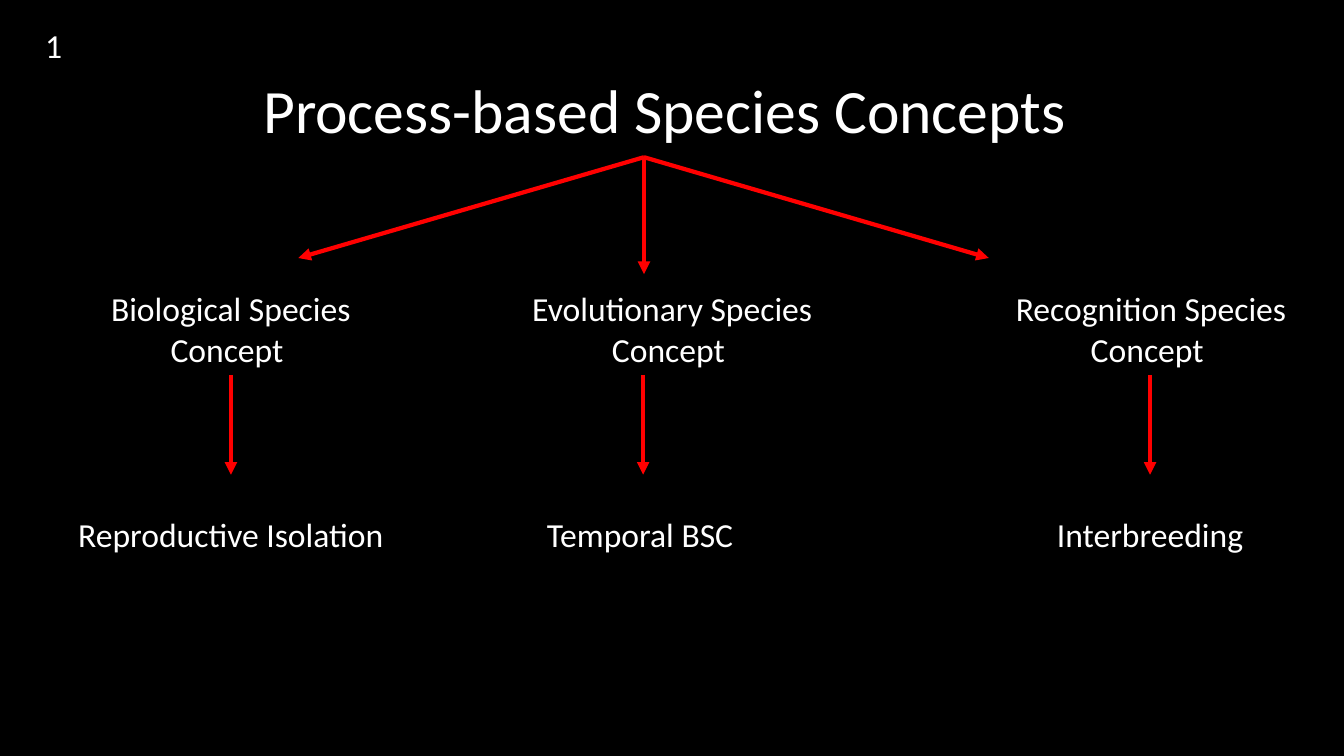
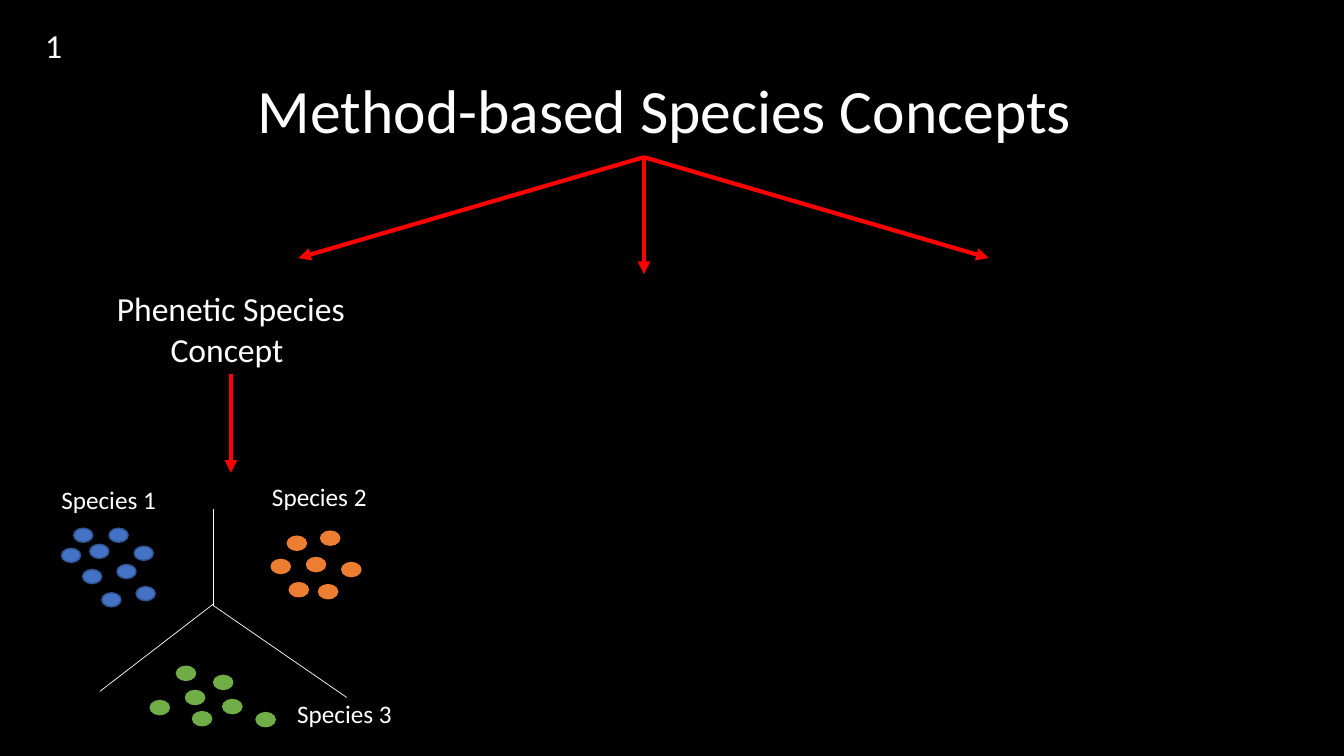
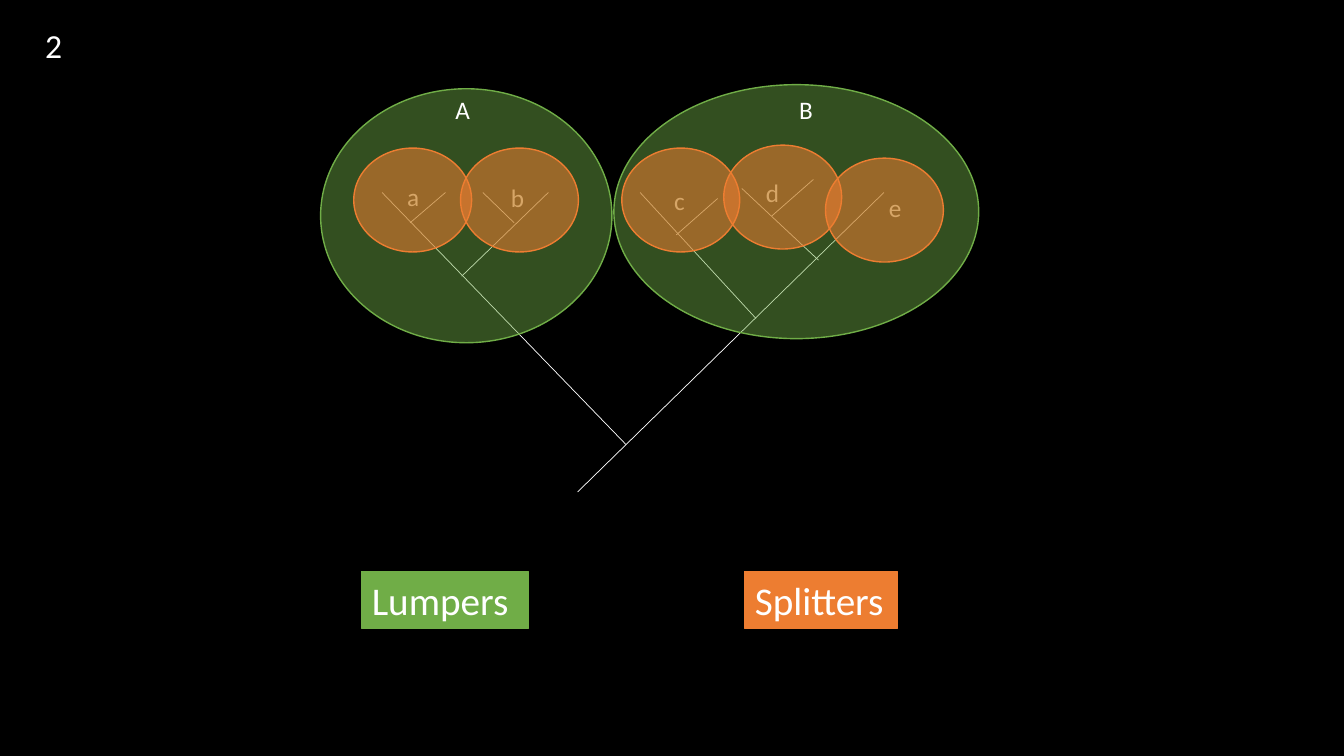
from dataclasses import dataclass

from lxml.etree import SubElement
from pptx import Presentation
from pptx.dml.color import RGBColor
from pptx.enum.shapes import MSO_CONNECTOR as Connector, MSO_SHAPE as Preset
from pptx.enum.text import MSO_ANCHOR as Anchor, MSO_AUTO_SIZE as AutoSize, PP_ALIGN as Align
from pptx.oxml.ns import qn
from pptx.util import Pt


@dataclass(frozen=True)
class Theme:
    font: str = "Calibri"
    background: str = "000000"
    text: str = "FFFFFF"
    arrow: str = "FF0000"
    blue: str = "4472C4"
    dark_blue: str = "325491"
    orange: str = "ED7D31"
    green: str = "70AD47"
    title_size: int = 44
    tag_size: int = 28
    body_size: int = 24
    small_size: int = 18
    arrow_width: float = 3
    branch_width: float = 0.5
    outline_width: float = 1


THEME = Theme()
TITLE_ONLY, BLANK = 5, 6


class Deck:
    """Holds the style and the slide being filled; lengths are points."""

    def __init__(self, theme):
        self.theme = theme
        self.presentation = Presentation()
        self.presentation.slide_width, self.presentation.slide_height = Pt(960), Pt(540)
        self.fill(self.presentation.slide_master.background, theme.background)
        self.slide = None

    def fill(self, target, color):
        target.fill.solid()
        target.fill.fore_color.rgb = RGBColor.from_string(color)

    def outline(self, shape, color, width):
        shape.line.color.rgb = RGBColor.from_string(color)
        shape.line.width = Pt(width)

    def set_text(self, shape, text, size, align):
        frame = shape.text_frame
        frame.text = text
        frame.word_wrap = True
        frame.auto_size = AutoSize.NONE
        paragraph = frame.paragraphs[0]
        paragraph.alignment = align
        for run in paragraph.runs:
            run.font.name = self.theme.font
            run.font.size = Pt(size)
            run.font.color.rgb = RGBColor.from_string(self.theme.text)

    def add_slide(self, number, title=None):
        layout = self.presentation.slide_layouts[TITLE_ONLY if title else BLANK]
        self.slide = self.presentation.slides.add_slide(layout)
        if title:
            self.title(title)
        self.label(number, 25.2, 14.4, 41, 36, self.theme.body_size)

    def title(self, text):
        shape = self.slide.shapes.title
        shape.left, shape.top, shape.width, shape.height = Pt(66), Pt(28.8), Pt(828), Pt(104.4)
        self.set_text(shape, text, self.theme.title_size, Align.CENTER)
        shape.text_frame.vertical_anchor = Anchor.MIDDLE
        shape.text_frame.paragraphs[0].line_spacing = 0.9

    def label(self, text, left, top, width, height, size, align=Align.LEFT):
        shape = self.slide.shapes.add_textbox(Pt(left), Pt(top), Pt(width), Pt(height))
        self.set_text(shape, text, size, align)
        return shape

    def tag(self, text, left, width, color):
        shape = self.label(text, left, 408.2, width, 41, self.theme.tag_size)
        self.fill(shape, color)
        self.outline(shape, color, 0.75)

    def ellipse(self, left, top, width, height, color, border=None, opacity=100):
        shape = self.slide.shapes.add_shape(
            Preset.OVAL, Pt(left), Pt(top), Pt(width), Pt(height))
        shape.shadow.inherit = False
        self.fill(shape, color)
        self.outline(shape, border or color, self.theme.outline_width)
        if opacity < 100:
            fill_color = shape.element.spPr.find(qn("a:solidFill")).find(qn("a:srgbClr"))
            SubElement(fill_color, qn("a:alpha")).set("val", str(opacity * 1000))

    def line(self, start, end, color, width):
        connector = self.slide.shapes.add_connector(
            Connector.STRAIGHT, *(Pt(value) for value in (*start, *end)))
        self.outline(connector, color, width)
        SubElement(connector.element.spPr, qn("a:effectLst"))
        return connector

    def branch(self, start, end):
        self.line(start, end, self.theme.text, self.theme.branch_width)

    def arrow(self, start, end):
        connector = self.line(start, end, self.theme.arrow, self.theme.arrow_width)
        outline = connector.element.spPr.find(qn("a:ln"))
        SubElement(outline, qn("a:tailEnd")).set("type", "triangle")

    def arrow_fan(self):
        for end in ((213.1, 184.3), (460, 195.8), (706.3, 184.3)):
            self.arrow((460, 112.3), end)

    def concept(self, name, left, arrow_x, arrow_top=267.8, arrow_bottom=339.1):
        self.label(name, left, 202.3, 252, 65.5, self.theme.body_size, Align.CENTER)
        self.arrow((arrow_x, arrow_top), (arrow_x, arrow_bottom))


def process_slide(deck):
    deck.add_slide("1", "Process-based Species Concepts ")
    deck.arrow_fan()
    # Each concept with the idea it leads to
    columns = (
        ("Biological Species Concept ", 38.9, 165, "Reproductive Isolation", 38.9),
        ("Evolutionary Species Concept ", 354.2, 459.4, "Temporal BSC", 331.2),
        ("Recognition Species Concept ", 696.2, 821.5, "Interbreeding", 695.5),
    )
    for name, left, arrow_x, idea, idea_left in columns:
        deck.concept(name, left, arrow_x)
        deck.label(idea, idea_left, 363.6, 252, 36, deck.theme.body_size, Align.CENTER)


def method_slide(deck):
    theme = deck.theme
    deck.add_slide("1", "Method-based Species Concepts ")
    deck.arrow_fan()
    deck.concept("Phenetic Species Concept ", 38.9, 165, 267.1, 337.7)
    # Clusters of individuals: label, label place, colours, dots
    clusters = (
        ("Species 1", 36.7, 342.7, theme.blue, theme.dark_blue,
         ((52.6, 377.3), (64.1, 388.8), (77.8, 377.3), (43.9, 391.7), (59, 406.8),
          (83.5, 403.2), (95.8, 390.2), (72.7, 423.4), (97.2, 419))),
        ("Species 2", 187.2, 340.6, theme.orange, theme.orange,
         ((227.5, 417.6), (193.7, 399.6), (206.6, 416.2), (205.2, 383),
          (218.9, 398.2), (244.1, 401.8), (229, 379.4))),
        ("Species 3", 205.2, 495.4, theme.green, theme.green,
         ((107.3, 500.4), (126, 475.9), (137.5, 508.3), (132.5, 493.2),
          (152.6, 482.4), (159.1, 499.7), (182.9, 509))),
    )
    for name, left, top, color, border, dots in clusters:
        for dot_left, dot_top in dots:
            deck.ellipse(dot_left, dot_top, 13.7, 10.1, color, border)
        deck.label(name, left, top, 84, 28.8, theme.small_size)
    # Borders between the clusters
    deck.branch((152.6, 363.6), (152.6, 432.7))
    deck.branch((152.6, 431.3), (71.3, 493.9))
    deck.branch((152.6, 432.7), (247.7, 498.2))


def lumpers_splitters_slide(deck):
    theme = deck.theme
    deck.add_slide("2")
    # Tree
    branches = (
        ((412.6, 351.4), (631.4, 137.5)), ((447.1, 317.5), (272.9, 137.5)),
        ((540, 227.5), (457.2, 137.5)), ((329.8, 197.3), (391.7, 137.5)),
        ((293, 159.1), (318.2, 137.5)), ((344.9, 137.5), (367.2, 159.1)),
        ((584.6, 185.8), (529.9, 134.6)), ((581, 128.2), (551.5, 154.1)),
        ((512.6, 141.8), (483.1, 167.8)),
    )
    for start, end in branches:
        deck.branch(start, end)
    # Small species lie under the tinted ellipses
    small_species = (("a", 283.7, 126), ("b", 357.8, 126.7), ("c", 474.5, 128.9),
                     ("d", 540, 123.1), ("e", 627.8, 133.9))
    for letter, left, top in small_species:
        deck.label(letter, left, top, 24.5, 28.8, theme.small_size)
    # Lumped and split groups
    for left, top, width in ((229, 63.4, 208.1), (438.5, 60.5, 260.6)):
        deck.ellipse(left, top, width, 181.4, theme.green, opacity=46)
    for left, top in ((252.7, 105.8), (329, 105.8), (444.2, 105.8), (517, 103.7), (589.7, 113)):
        deck.ellipse(left, top, 84.2, 74.2, theme.orange, opacity=55)
    for letter, left in (("A", 318.2), ("B", 563.8)):
        deck.label(letter, left, 64.1, 25.2, 28.8, theme.small_size)
    # Legend
    deck.tag("Lumpers", 258.5, 118.8, theme.green)
    deck.tag("Splitters", 532.1, 108.7, theme.orange)


def main():
    deck = Deck(THEME)
    process_slide(deck)
    method_slide(deck)
    lumpers_splitters_slide(deck)
    deck.presentation.save("out.pptx")


if __name__ == "__main__":
    main()
